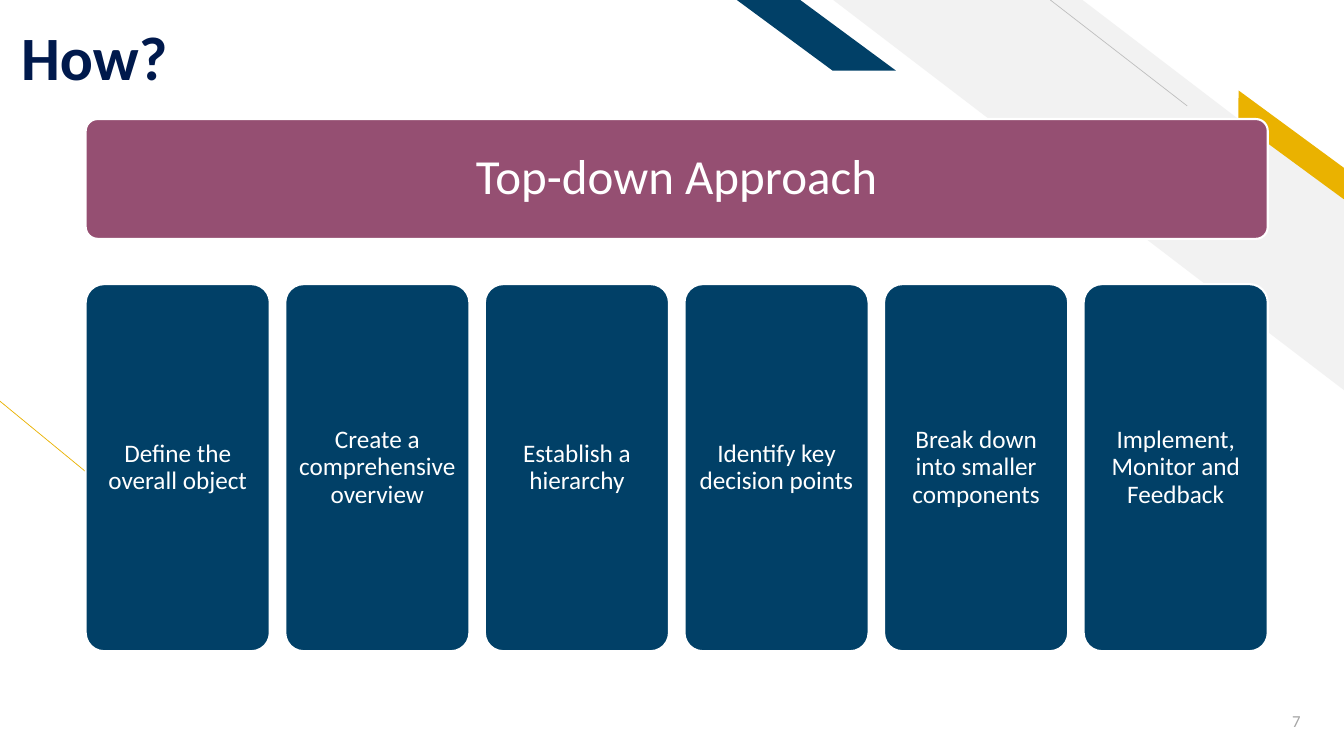
from pptx import Presentation
from pptx.dml.color import RGBColor
from pptx.enum.shapes import MSO_CONNECTOR as Link, MSO_SHAPE as Kind
from pptx.enum.text import MSO_ANCHOR as Anchor, MSO_AUTO_SIZE as Fit, PP_ALIGN as Align
from pptx.oxml.ns import qn
from pptx.util import Cm, Pt
from lxml import etree

NAVY = RGBColor(0x00, 0x19, 0x4C)
BLUE = RGBColor(0x01, 0x40, 0x67)
PLUM = RGBColor(0x95, 0x4F, 0x72)
GOLD = RGBColor(0xEA, 0xB2, 0x00)
PALE = RGBColor(0xF2, 0xF2, 0xF2)
SILVER = RGBColor(0xBF, 0xBF, 0xBF)
GREY = RGBColor(0xA5, 0xA5, 0xA5)
WHITE = RGBColor(0xFF, 0xFF, 0xFF)

STEPS = [
    "Define the overall object",
    "Create a comprehensive overview",
    "Establish a hierarchy",
    "Identify key decision points",
    "Break down into smaller components",
    "Implement, Monitor and Feedback",
]


def write(shape, text, size, color, align, bold=False, spacing=None):
    frame = shape.text_frame
    frame.text = text
    para = frame.paragraphs[0]
    para.alignment = align
    para.line_spacing = spacing
    style = para.runs[0].font
    style.name, style.size, style.bold = "Calibri", Pt(size), bold
    style.color.rgb = color
    return frame


def add_line(slide, x1, y1, x2, y2, color):
    line = slide.shapes.add_connector(Link.STRAIGHT, Cm(x1), Cm(y1), Cm(x2), Cm(y2))
    line.line.color.rgb = color
    line.line.width = Pt(0.5)
    etree.SubElement(line._element.spPr, qn("a:effectLst"))


def add_block(slide, kind, box, adjust, color):
    block = slide.shapes.add_shape(kind, *map(Cm, box))
    block.adjustments[0] = adjust
    block.shadow.inherit = False
    block.fill.solid()
    block.fill.fore_color.rgb = color
    block.line.fill.background()
    return block


def add_stripe(slide, kind, box, adjust, color, turn=0):
    stripe = add_block(slide, kind, box, adjust, color)
    stripe.rotation = turn
    stripe._element.spPr.find(qn("a:xfrm")).set("flipH", "1")


def add_card(slide, box, text, size, inset, color):
    card = add_block(slide, Kind.ROUNDED_RECTANGLE, box, 0.1, color)
    card.line.color.rgb = WHITE
    card.line.width = Pt(1.5)
    frame = write(card, text, size, WHITE, Align.CENTER, spacing=0.9)
    frame.word_wrap = True
    frame.vertical_anchor = Anchor.MIDDLE
    frame.margin_left = frame.margin_right = Cm(inset)
    frame.margin_top = frame.margin_bottom = Cm(inset)


def add_decor(slide, left, top, width, height):
    right = left + width
    add_line(slide, left, top + 10.11, left + 5.28, top + 14.45, GOLD)
    add_stripe(slide, Kind.DIAGONAL_STRIPE, (right - 12.87, top, 12.87, 9.83), 0.512, PALE)
    add_line(slide, right - 7.4, top, right - 3.95, top + 2.67, SILVER)
    add_stripe(slide, Kind.PARALLELOGRAM, (right - 3.21, top + 3.33, 3.76, 0.64), 0.72, GOLD, 36.3)
    add_stripe(slide, Kind.PARALLELOGRAM, (right - 15.3, top, 4.01, 1.78), 1.356, BLUE)
    page = slide.shapes.add_textbox(Cm(right - 2.9), Cm(top + height - 1.4), Cm(2.06), Cm(1.02))
    write(page, "7", 12, GREY, Align.RIGHT).vertical_anchor = Anchor.MIDDLE


def add_title(slide, left, top, width, height):
    title = slide.shapes.title
    title.left, title.top, title.width, title.height = map(Cm, (left, top, width, height))
    frame = write(title, "How?", 44, NAVY, Align.LEFT, bold=True, spacing=0.9)
    frame.auto_size = Fit.NONE
    frame.vertical_anchor = Anchor.BOTTOM
    frame.margin_bottom = 0


def add_plan(slide, left, top, width, height):
    add_card(slide, (left, top, width, 3.02), "Top-down Approach", 35, 0.38, PLUM)
    tall, wide = 9.25, 4.64
    pitch = (width - wide) / (len(STEPS) - 1)
    for i, step in enumerate(STEPS):
        box = (left + i * pitch, top + height - tall, wide, tall)
        add_card(slide, box, step, 18, 0.18, BLUE)


def main():
    deck = Presentation()
    deck.slide_width, deck.slide_height = Cm(33.87), Cm(19.05)
    slide = deck.slides.add_slide(deck.slide_layouts[5])
    add_decor(slide, 0, 0, 33.87, 19.05)
    add_title(slide, 0.28, 0.05, 5.44, 2.31)
    add_plan(slide, 2.16, 3, 29.79, 13.41)
    deck.save("out.pptx")


if __name__ == "__main__":
    main()
